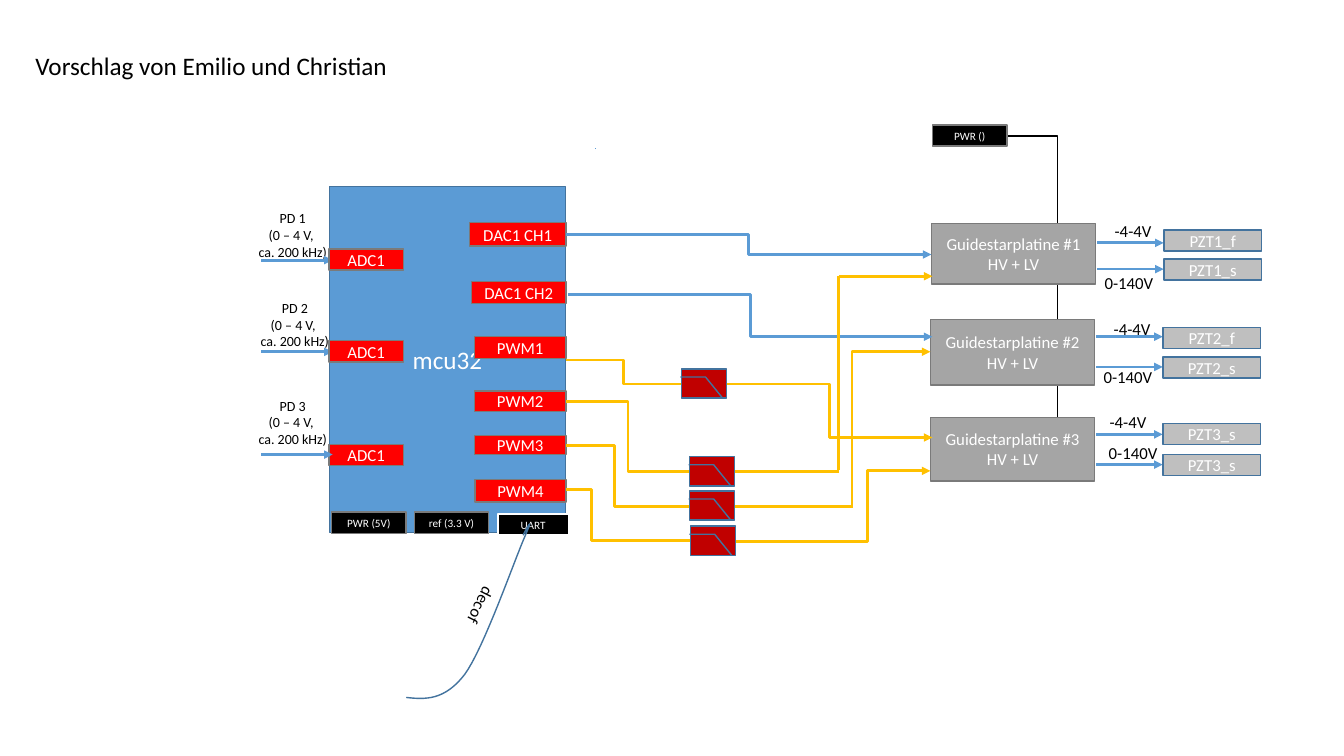
import dataclasses

import pptx
import pptx.dml.color
import pptx.enum.shapes
import pptx.enum.text
import pptx.oxml
import pptx.oxml.ns
import pptx.util

Pt = pptx.util.Pt
ALIGN = pptx.enum.text.PP_ALIGN
ANCHOR = pptx.enum.text.MSO_ANCHOR
LINE = pptx.enum.shapes.MSO_CONNECTOR
RECTANGLE = pptx.enum.shapes.MSO_SHAPE.RECTANGLE


@dataclasses.dataclass(frozen=True)
class Theme:
    font: str = "Calibri"
    large: float = 18
    normal: float = 12
    small: float = 10
    tiny: float = 8
    black: str = "000000"
    white: str = "FFFFFF"
    blue: str = "5B9BD5"
    navy: str = "43739E"
    yellow: str = "FFC000"
    red: str = "FF0000"
    crimson: str = "C00000"
    gray: str = "A5A5A5"
    silver: str = "BFBFBF"
    edge: str = "7A7A7A"
    thin: float = 1
    thick: float = 2


THEME = Theme()


@dataclasses.dataclass(frozen=True)
class Box:
    left: float
    top: float
    width: float
    height: float

    @property
    def right(self):
        return self.left + self.width

    def inside(self, left, top, width, height):
        return Box(self.left + left, self.top + top, width, height)

    def lengths(self):
        return [Pt(v) for v in (self.left, self.top, self.width, self.height)]


def rgb(color):
    return pptx.dml.color.RGBColor.from_string(color)


def write(shape, text, size, color, align=ALIGN.CENTER):
    shape.text_frame.text = text
    for para in shape.text_frame.paragraphs:
        para.alignment = align
        para.font.name = THEME.font
        para.font.size = Pt(size)
        para.font.color.rgb = rgb(color)


def block(shapes, box, fill, edge, text="", size=THEME.normal):
    shape = shapes.add_shape(RECTANGLE, *box.lengths())
    shape.shadow.inherit = False
    shape.fill.solid()
    shape.fill.fore_color.rgb = rgb(fill)
    shape.line.color.rgb = rgb(edge)
    shape.line.width = Pt(THEME.thin)
    if text:
        shape.text_frame.word_wrap = True
        shape.text_frame.vertical_anchor = ANCHOR.MIDDLE
        write(shape, text, size, THEME.white)


def label(shapes, box, text, size=THEME.normal, align=ALIGN.LEFT, turn=0):
    shape = shapes.add_textbox(*box.lengths())
    shape.text_frame.word_wrap = False
    shape.rotation = turn
    write(shape, text, size, THEME.black, align)


def wire(shapes, start, end, color, bend=None, arrow=False, width=THEME.thick):
    """Straight line, or an elbow turning at the share `bend` of its width."""
    kind = LINE.STRAIGHT if bend is None else LINE.ELBOW
    line = shapes.add_connector(kind, *[Pt(v) for v in (*start, *end)])
    line.line.color.rgb = rgb(color)
    line.line.width = Pt(width)
    properties = line._element.spPr
    if bend is not None:
        guides = properties.find(pptx.oxml.ns.qn("a:prstGeom")).get_or_add_avLst()
        guides.append(pptx.oxml.parse_xml(
            f'<a:gd {pptx.oxml.ns.nsdecls("a")} name="adj1" fmla="val {round(bend * 100000)}"/>'))
    if arrow:
        properties.find(pptx.oxml.ns.qn("a:ln")).append(pptx.oxml.parse_xml(
            f'<a:tailEnd {pptx.oxml.ns.nsdecls("a")} type="triangle"/>'))
    properties.append(pptx.oxml.parse_xml(f'<a:effectLst {pptx.oxml.ns.nsdecls("a")}/>'))


def outline(shapes, box, points):
    places = [(Pt(box.left + x), Pt(box.top + y)) for x, y in points]
    builder = shapes.build_freeform(*places[0], scale=1.0)
    builder.add_line_segments(places[1:], close=False)
    shape = builder.convert_to_shape()
    shape.shadow.inherit = False
    shape.fill.background()
    shape.line.color.rgb = rgb(THEME.navy)
    shape.line.width = Pt(THEME.thin)


def curve(knots, steps=16):
    """Points along joined cubic curves, three knots to each after the first."""
    points = [knots[0]]
    for first in range(0, len(knots) - 1, 3):
        a, b, c, d = knots[first:first + 4]
        for step in range(1, steps + 1):
            t = step / steps
            u = 1 - t
            points.append(tuple(u**3 * a[i] + 3 * u * u * t * b[i] + 3 * u * t * t * c[i] + t**3 * d[i]
                                for i in (0, 1)))
    return points


def heading(page, box, text):
    title = page.shapes.title
    title.left, title.top, title.width, title.height = box.lengths()
    title.text_frame.word_wrap = False
    title.text_frame.vertical_anchor = ANCHOR.TOP
    write(title, text, THEME.large, THEME.black, ALIGN.LEFT)


def detector_input(shapes, box, number, arrow_top):
    label(shapes, box, f"PD {number}\n(0 – 4 V, \nca. 200 kHz)", THEME.small, ALIGN.CENTER)
    wire(shapes, (186.5, arrow_top), (237.6, arrow_top), THEME.blue, arrow=True)


def controller(page, box):
    shapes = page.shapes.add_group_shape().shapes
    block(shapes, box, THEME.blue, THEME.navy, "mcu32", THEME.large)
    for name, top, width, height in (
            ("DAC1 CH1", 25.9, 69, 16.6), ("DAC1 CH2", 67.7, 67.5, 15.8),
            ("PWM1", 107.3, 65.5, 15.8), ("PWM2", 146.2, 65.5, 14.4),
            ("PWM3", 177.8, 65.5, 13.7), ("PWM4", 209.5, 65, 15.8)):
        block(shapes, box.inside(box.width - width + 0.4, top, width, height),
              THEME.red, THEME.edge, name)
    for top in (44.6, 110.2, 184.3):
        block(shapes, box.inside(-0.5, top, 53.3, 15.1), THEME.red, THEME.edge, "ADC1")
    for name, left, top, width, edge in (
            ("PWR (5V)", 1.5, 232.6, 53.3, THEME.edge),
            ("ref (3.3 V)", 60.5, 232.6, 53.3, THEME.edge),
            ("UART", 120.3, 234, 50.4, THEME.white)):
        block(shapes, box.inside(left, top, width, 15.1), THEME.black, edge, name, THEME.tiny)


def driver(shapes, box, number, outputs):
    block(shapes, box, THEME.gray, THEME.edge, f"Guidestarplatine #{number} HV + LV")
    for volts, width, label_left, label_top, arrow_top, tag, tag_top in outputs:
        wire(shapes, (box.right + 1, box.top + arrow_top),
             (box.right + 48.5, box.top + arrow_top), THEME.blue, arrow=True)
        block(shapes, box.inside(box.width + 48.7, tag_top, 69.8, 15.1),
              THEME.silver, THEME.navy, tag)
        label(shapes, box.inside(box.width + label_left, label_top, width, 21.6), volts)


def low_pass(page, box):
    shapes = page.shapes.add_group_shape().shapes
    block(shapes, box, THEME.crimson, THEME.navy)
    outline(shapes, box, [(-0.7, 5.8), (17.3, 5.8), (29.5, 20.9)])


def serial_cable(shapes, box):
    outline(shapes, box, curve([
        (0, 123.8), (13.7, 125.3), (27.4, 126), (41.8, 107.3), (55.4, 88.6),
        (77, 26.6), (84.2, 10.1), (91.4, -6.5), (87.1, 0.7), (83.5, 7.9)]))
    label(shapes, box.inside(32.4, 47.5, 41.8, 21.6), "decof", turn=116.4)


def signal_wires(shapes):
    blue, yellow = THEME.blue, THEME.yellow
    for start, end, color, bend, arrow in (
            ((404.6, 167.4), (665.3, 181.8), blue, 0.5, True),
            ((406, 210.6), (666, 240.5), blue, 0.5, True),
            # PWM outputs to the filters
            ((404.6, 257.2), (486.7, 274.3), yellow, 0.5, False),
            ((404.6, 287), (492.5, 337), yellow, 0.5, False),
            ((404.6, 318.2), (492.5, 361.6), yellow, 0.39, False),
            ((404, 349.7), (493.2, 385.9), yellow, 0.21, False),
            # Filters to the drivers
            ((519.1, 274.3), (666, 312.5), yellow, 0.5, True),
            ((524.2, 337), (599, 337), yellow, None, False),
            ((599, 335.5), (599, 197.3), yellow, None, False),
            ((599, 197.3), (666, 197.3), yellow, None, True),
            ((524.9, 361.6), (609, 361.6), yellow, None, False),
            ((608.6, 361.6), (664.6, 251.3), yellow, 0, True),
            ((524.9, 386.6), (664.6, 336.4), yellow, 0.68, True)):
        wire(shapes, start, end, color, bend, arrow)


def circuit_page(deck):
    page = deck.slides.add_slide(deck.slide_layouts[5])
    shapes = page.shapes
    heading(page, Box(18, 32.4, 268.6, 28.8), "Vorschlag von Emilio und Christian")

    # Supply and detector inputs
    wire(shapes, (719.3, 97.2), (755.3, 298.1), THEME.black, 1, width=THEME.thin)
    block(shapes, Box(666, 89.3, 53.3, 15.1), THEME.black, THEME.edge, "PWR ()", THEME.tiny)
    detector_input(shapes, Box(177.1, 146.2, 64, 43.9), 1, 185.8)
    detector_input(shapes, Box(178.6, 210.2, 64, 43.9), 2, 251.3)

    # Controller; the third input ends on top of it
    controller(page, Box(235.4, 133.2, 168.5, 247))
    detector_input(shapes, Box(177.1, 280.1, 64, 43.9), 3, 324.7)

    # Driver boards with their outputs
    driver(shapes, Box(665.3, 159.8, 117.4, 43.2), 1, (
        ("-4-4V", 41, 6.4, -5.7, 13.7, "PZT1_f", 4.4),
        ("0-140V", 49.7, -0.8, 31.7, 32.4, "PZT1_s", 25.2)))
    driver(shapes, Box(664.6, 228.2, 117.4, 46.8), 2, (
        ("-4-4V", 41, 6.4, -4.3, 12.3, "PZT2_f", 5.8),
        ("0-140V", 49.7, -0.8, 30.3, 33.9, "PZT2_s", 26.7)))
    driver(shapes, Box(664.6, 298.1, 117.4, 45.4), 3, (
        ("-4-4V", 41, 3.5, -7.2, 12.2, "PZT3_s", 4.3),
        ("0-140V", 49.7, 2.8, 14.4, 33.8, "PZT3_s", 26.6)))

    # Cable, wires and filters
    serial_cable(shapes, Box(290.2, 374.4, 87.8, 124.6))
    wire(shapes, (425.5, 105.8), (425.5, 106.6), THEME.blue, width=0.5)
    signal_wires(shapes)
    for left, top in ((486.7, 263.5), (492.5, 326.2), (492.5, 350.6), (493.2, 375.8)):
        low_pass(page, Box(left, top, 32.4, 20.9))


def main():
    deck = pptx.Presentation()
    deck.slide_width, deck.slide_height = Pt(960), Pt(540)
    circuit_page(deck)
    deck.save("out.pptx")


if __name__ == "__main__":
    main()
